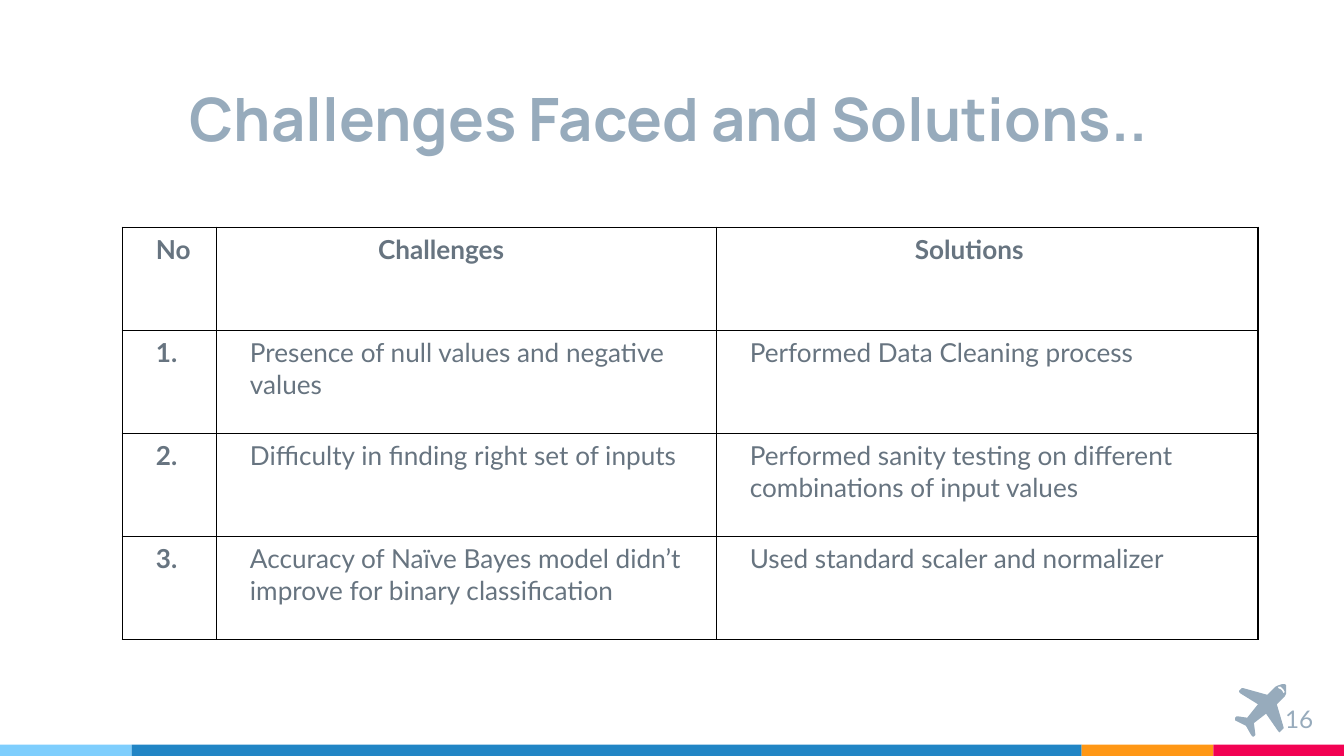
from lxml import etree
from pptx import Presentation
from pptx.dml.color import RGBColor
from pptx.enum.shapes import MSO_SHAPE
from pptx.enum.text import MSO_ANCHOR, PP_ALIGN
from pptx.oxml.ns import qn
from pptx.util import Pt

RECTANGLE = MSO_SHAPE.RECTANGLE
TOP, BOTTOM = MSO_ANCHOR.TOP, MSO_ANCHOR.BOTTOM
LEFT, CENTER, RIGHT = PP_ALIGN.LEFT, PP_ALIGN.CENTER, PP_ALIGN.RIGHT

COLORS = {
    "sky": "7ECEFD",
    "blue": "2185C5",
    "orange": "FF9715",
    "red": "F20253",
    "heading": "97ABBC",
    "body": "677480",
    "border": "000000",
}


def write(frame, text, color, align, **font_format):
    paragraph = frame.paragraphs[0]
    paragraph.alignment = align
    run = paragraph.add_run()
    run.text = text
    run.font.color.rgb = RGBColor.from_string(COLORS[color])
    for attribute, value in font_format.items():
        setattr(run.font, attribute, value)
    return paragraph


def paint(shape, color):
    shape.shadow.inherit = False
    shape.fill.solid()
    shape.fill.fore_color.rgb = RGBColor.from_string(COLORS[color])
    shape.line.fill.background()


prs = Presentation()
prs.slide_width, prs.slide_height = Pt(720), Pt(405)
slide = prs.slides.add_slide(prs.slide_layouts[6])

# Footer stripe
stripe_left = 0
for color, width in [("sky", 70.5), ("blue", 509), ("orange", 70.5), ("red", 70)]:
    paint(slide.shapes.add_shape(RECTANGLE, Pt(stripe_left), Pt(399),
                                 Pt(width), Pt(6)), color)
    stripe_left += width

# Title and page number
for text, box, anchor, align, font_format in [
    ("Challenges Faced and Solutions..", (43.2, -29.5, 630.7, 118.8), BOTTOM, CENTER,
     {"name": "Manrope", "size": Pt(32), "bold": True}),
    ("16", (667.4, 370.1, 43.2, 24.5), TOP, RIGHT, {"name": "Lato", "size": Pt(13)}),
]:
    frame = slide.shapes.add_textbox(*map(Pt, box)).text_frame
    frame_format = {"word_wrap": True, "vertical_anchor": anchor}
    for side in ("left", "right", "top", "bottom"):
        frame_format[f"margin_{side}"] = Pt(7.2)
    for attribute, value in frame_format.items():
        setattr(frame, attribute, value)
    write(frame, text, "heading", align, **font_format)

# Airplane, drawn in hundredths of an inch
fuselage = [
    (35, 0), (32, 1), (30, 2), (24, 8), (6, 3), (5, 3), (3, 5), (3, 6), (4, 7),
    (17, 15), (9, 25), (2, 24), (1, 24), (0, 25), (0, 27), (8, 31), (12, 38),
    (13, 39), (14, 39), (15, 38), (15, 37), (14, 29), (23, 22), (32, 35),
    (33, 36), (34, 35), (36, 33), (36, 32), (31, 15), (37, 9), (38, 7), (38, 1),
    (37, 0),
]
cockpit = [(32, 2), (34, 2), (36, 4), (37, 6), (36, 7), (35, 5), (34, 4), (32, 3)]
airplane = slide.shapes.build_freeform(*fuselage[0], scale=Pt(0.72))
airplane.add_line_segments(fuselage[1:], close=True)
airplane.move_to(*cockpit[0])
airplane.add_line_segments(cockpit[1:], close=True)
paint(airplane.convert_to_shape(Pt(661.7), Pt(366.5)), "heading")

# Challenges table
rows = [
    ("No", "Challenges", "Solutions"),
    ("1.", "Presence of null values and negative values",
     "Performed Data Cleaning process"),
    ("2.", "Difficulty in finding right set of inputs",
     "Performed sanity testing on different combinations of input values"),
    ("3.", "Accuracy of Naïve Bayes model didn’t improve for binary classification",
     "Used standard scaler and normalizer"),
]
column_widths = (50.4, 267.8, 290.2)
header_indents = (10.8, 79.4, 99.2)
body_indent = 10.8
row_height = 55.2

table = slide.shapes.add_table(len(rows), len(column_widths), Pt(65.5), Pt(121.7),
                               Pt(sum(column_widths)),
                               Pt(row_height * len(rows))).table
table.first_row = table.horz_banding = False
for column, width in zip(table.columns, column_widths):
    column.width = Pt(width)

for row_index, texts in enumerate(rows):
    table.rows[row_index].height = Pt(row_height)
    is_header = row_index == 0
    for column_index, text in enumerate(texts):
        cell = table.cell(row_index, column_index)
        paragraph = write(cell.text_frame, text, "body", LEFT, name="Lato",
                          size=Pt(14), bold=is_header or column_index == 0)
        paragraph.space_before = Pt(6)
        indent = header_indents[column_index] if is_header else body_indent
        paragraph._p.get_or_add_pPr().set("marL", str(Pt(indent)))

        properties = cell._tc.get_or_add_tcPr()
        for side in ("lnL", "lnR", "lnT", "lnB"):
            border = etree.SubElement(properties, qn(f"a:{side}"), w=str(Pt(0.75)))
            fill = etree.SubElement(border, qn("a:solidFill"))
            etree.SubElement(fill, qn("a:srgbClr"), val=COLORS["border"])
        cell.fill.background()

prs.save("out.pptx")
